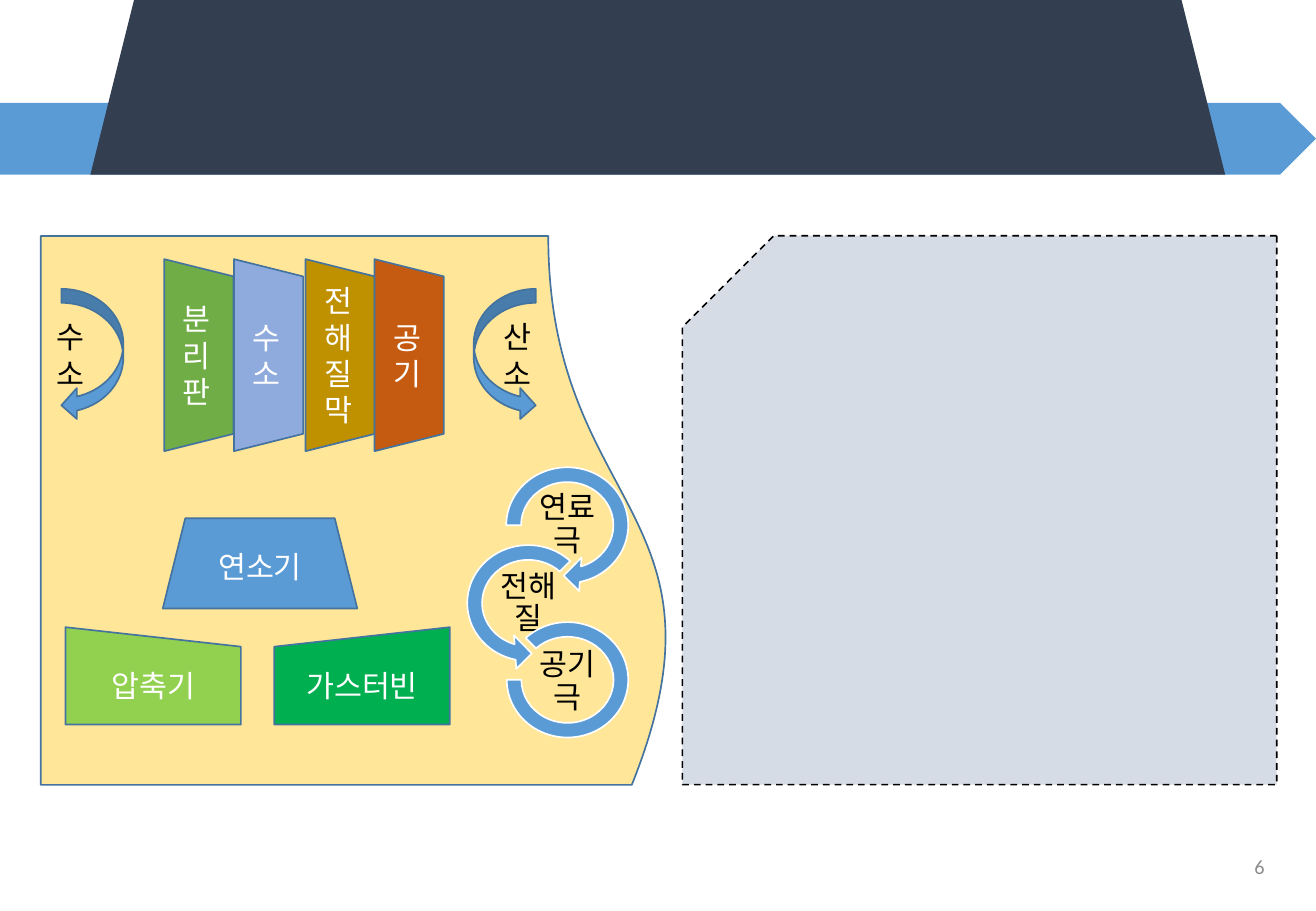
from lxml import etree
from pptx import Presentation
from pptx.dml.color import RGBColor
from pptx.enum.dml import MSO_LINE
from pptx.enum.shapes import MSO_SHAPE
from pptx.enum.text import MSO_ANCHOR, MSO_AUTO_SIZE, PP_ALIGN
from pptx.oxml.ns import qn
from pptx.util import Pt

TRAPEZOID = MSO_SHAPE.TRAPEZOID
PENTAGON = MSO_SHAPE.PENTAGON
DOCUMENT = MSO_SHAPE.FLOWCHART_DOCUMENT
MANUAL_INPUT = MSO_SHAPE.FLOWCHART_MANUAL_INPUT
CURVED_ARROW = MSO_SHAPE.CURVED_RIGHT_ARROW
CIRCULAR_ARROW = MSO_SHAPE.CIRCULAR_ARROW
LEFT_CIRCULAR_ARROW = MSO_SHAPE.LEFT_CIRCULAR_ARROW
BLOCK_ARC = MSO_SHAPE.BLOCK_ARC
SNIPPED = MSO_SHAPE.SNIP_1_RECTANGLE
LEFT, CENTER, RIGHT = PP_ALIGN.LEFT, PP_ALIGN.CENTER, PP_ALIGN.RIGHT
TOP, MIDDLE = MSO_ANCHOR.TOP, MSO_ANCHOR.MIDDLE
DASH = MSO_LINE.DASH
FIT_SHAPE = MSO_AUTO_SIZE.SHAPE_TO_FIT_TEXT

COLORS = {
    "blue": "5B9BD5", "navy": "333F50", "outline": "43739E",
    "cream": "FFE699", "mist": "D6DCE5", "gold": "BF9000",
    "rust": "C55A11", "periwinkle": "8FAADC", "leaf": "70AD47",
    "green": "00B050", "lime": "92D050", "gray": "8C8C8C",
    "white": "FFFFFF", "black": "000000",
}
KOREAN = "Noto Sans CJK KR"
LATIN = "Calibri"


class SlideBuilder:
    def __init__(self, page, font, size):
        self.page = page
        self.font = font
        self.size = size

    def color(self, name):
        return RGBColor.from_string(COLORS[name])

    def fill_text(self, frame, text, color, align, anchor, font=None, size=None):
        frame.word_wrap = True
        frame.vertical_anchor = anchor
        frame.text = text
        for para in frame.paragraphs:
            para.alignment = align
            for span in para.runs:
                span.font.size = Pt(size or self.size)
                span.font.color.rgb = self.color(color)
                span.font.name = font or self.font
                east_asian = etree.SubElement(span.font._element, qn("a:ea"))
                east_asian.set("typeface", font or self.font)

    def shape(self, kind, box, fill, line="outline", text=None, turn=0,
              flip=False, adjust=(), dash=None, upright=False):
        shape = self.page.shapes.add_shape(kind, *map(Pt, box))
        shape.shadow.inherit = False
        shape.rotation = turn
        shape.fill.solid()
        shape.fill.fore_color.rgb = self.color(fill)
        if line:
            shape.line.color.rgb = self.color(line)
            shape.line.width = Pt(1)
        else:
            shape.line.fill.background()
        if dash:
            shape.line.dash_style = dash
        for index, value in enumerate(adjust):
            shape.adjustments[index] = value
        if flip:
            shape._element.spPr.find(qn("a:xfrm")).set("flipH", "1")
        if text:
            self.fill_text(shape.text_frame, text, "white", CENTER, MIDDLE)
        if upright:
            shape._element.txBody.find(qn("a:bodyPr")).set("vert", "vert270")

    def label(self, box, text, color="black", align=LEFT, anchor=TOP,
              inset=None, spacing=None, grow=False, font=None, size=None):
        frame = self.page.shapes.add_textbox(*map(Pt, box)).text_frame
        self.fill_text(frame, text, color, align, anchor, font, size)
        if grow:
            frame.auto_size = FIT_SHAPE
        if inset is not None:
            frame.margin_left = frame.margin_right = Pt(inset)
            frame.margin_top = frame.margin_bottom = Pt(inset)
        if spacing:
            for para in frame.paragraphs:
                para.line_spacing = spacing


def main():
    deck = Presentation()
    deck.slide_width, deck.slide_height = Pt(780), Pt(540)
    page = deck.slides.add_slide(deck.slide_layouts[6])
    slide = SlideBuilder(page, KOREAN, 18)

    slide.shape(PENTAGON, (0, 61, 780, 42.5), "blue", line=None)
    slide.shape(TRAPEZOID, (53.6, -0.6, 672.6, 104.1), "navy", line=None)
    slide.label((581, 499, 175.7, 28.8), "6", "gray", RIGHT, MIDDLE,
                font=LATIN, size=12)

    slide.shape(DOCUMENT, (49, 115, 325.4, 375.1), "cream", turn=270)
    for left, flip in ((36.4, True), (280.8, False)):
        slide.shape(CURVED_ARROW, (left, 171.2, 36.7, 78.2), "blue",
                    flip=flip, adjust=(0.226, 0.5, 0.25))

    plates = (
        (144.7, "gold", "전해질막"), (185.6, "rust", "공기"),
        (102.3, "periwinkle", "수소"), (61, "leaf", "분리판"),
    )
    for left, fill, text in plates:
        slide.shape(TRAPEZOID, (left, 190, 113.8, 41), fill, text=text,
                    turn=90, upright=True)

    slide.shape(TRAPEZOID, (96.5, 307.2, 115.3, 53.5), "blue", text="연소기")
    for left, text in ((26.5, "수\n소"), (291.4, "산\n소")):
        slide.label((left, 185.2, 40.3, 51), text, grow=True)
    for left, fill, text, flip in ((162.6, "green", "가스터빈", False),
                                   (38.8, "lime", "압축기", True)):
        slide.shape(MANUAL_INPUT, (left, 371.8, 104, 57.7), fill,
                    text=text, flip=flip)

    electrodes = (
        (CIRCULAR_ARROW, (294.5, 271.4, 83.5, 79.9),
         (0.11, 11.42, 45, 108, 0.125), 313.2, "연료\v극"),
        (LEFT_CIRCULAR_ARROW, (271.4, 317.5, 83.5, 79.9),
         (0.11, 11.42, 63, 189, 0.125), 290.2, "전해\v질"),
        (BLOCK_ARC, (300.4, 368.8, 72, 68.4),
         (135, 108, 0.127), 313.2, "공기\v극"),
    )
    for row, (kind, box, adjust, left, text) in enumerate(electrodes):
        slide.shape(kind, box, "blue", line="white", adjust=adjust)
        slide.label((left, 300.2 + 46.4 * row, 46.1, 22.3), text,
                    align=CENTER, anchor=MIDDLE, inset=0.7, spacing=0.9)

    slide.shape(SNIPPED, (404.5, 139.7, 352.3, 325.4), "mist", line="black",
                flip=True, dash=DASH)
    deck.save("out.pptx")


if __name__ == "__main__":
    main()
